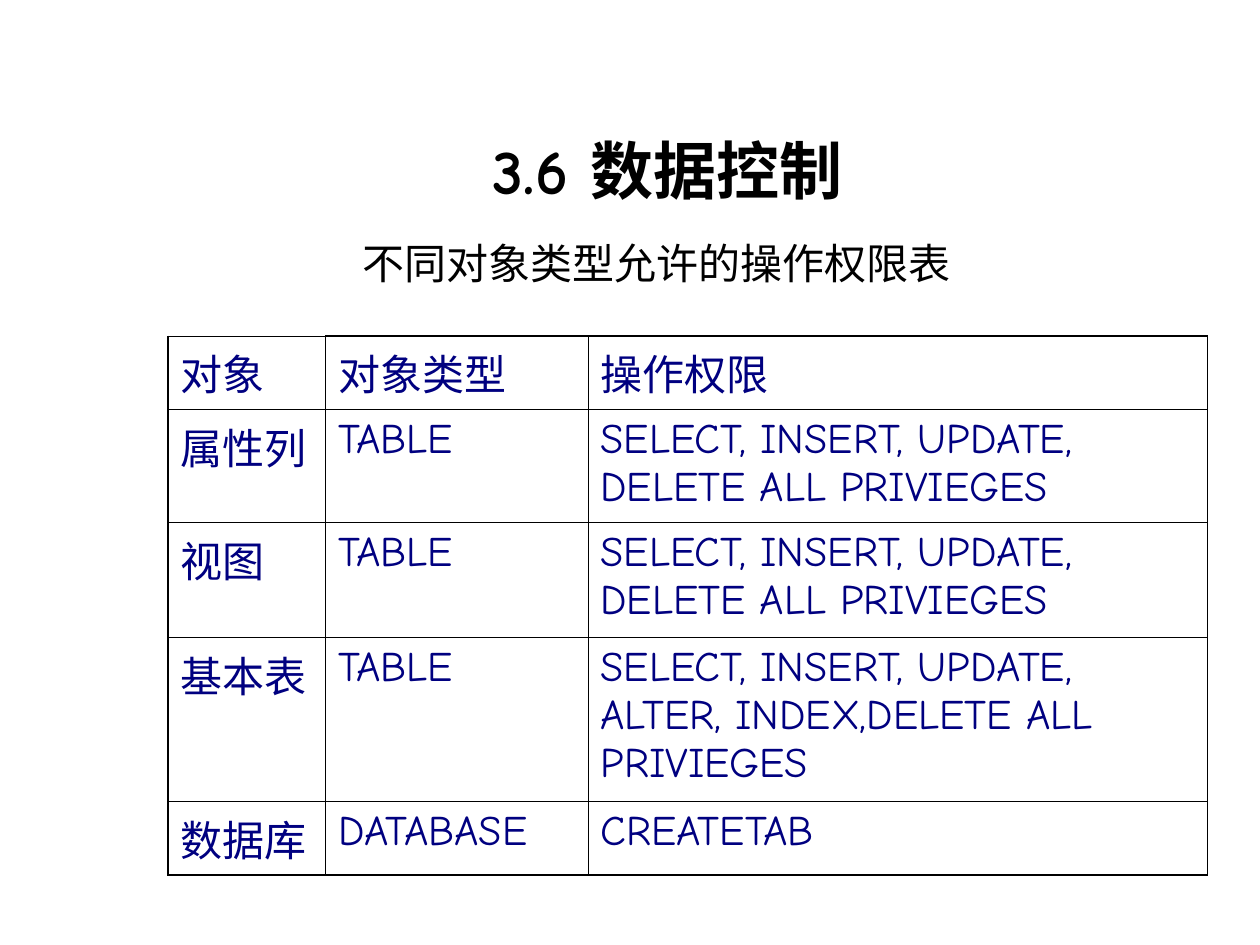
import pptx
import pptx.util
import pptx.dml.color
import pptx.enum.text
import pptx.oxml.ns
import lxml.etree

Inches, Pt = pptx.util.Inches, pptx.util.Pt
RGBColor = pptx.dml.color.RGBColor
PP_ALIGN = pptx.enum.text.PP_ALIGN
MSO_ANCHOR = pptx.enum.text.MSO_ANCHOR
MSO_AUTO_SIZE = pptx.enum.text.MSO_AUTO_SIZE
qn = pptx.oxml.ns.qn

BLACK = RGBColor(0x00, 0x00, 0x00)
NAVY = RGBColor(0x00, 0x00, 0x80)
FONT = "Comic Neue"
THIN, THICK = Pt(0.45), Pt(1.08)

UNIT = 1 / 12
LEFT, WIDTH = 1, 101 * UNIT
COLS = [n * UNIT for n in (15, 25, 59)]
ROWS = [0.58, 0.9, 0.91, 1.3, 0.59]
COMMON = "SELECT, INSERT, UPDATE, DELETE ALL PRIVIEGES"
PERMISSIONS = [
    ["对象", "对象类型", "操作权限"],
    ["属性列", "TABLE", COMMON],
    ["视图", "TABLE", COMMON],
    ["基本表", "TABLE", "SELECT, INSERT, UPDATE, ALTER, INDEX,DELETE ALL PRIVIEGES"],
    ["数据库", "DATABASE", "CREATETAB"],
]


def style(p, size, color, align=PP_ALIGN.LEFT, bold=False):
    p.alignment = align
    p.font.name = FONT
    p.font.size = Pt(size)
    p.font.bold = bold
    p.font.color.rgb = color


def place(sp, box):
    sp.left, sp.top, sp.width, sp.height = [Inches(v) for v in box]


def add_title(s, box):
    sp = s.shapes.title
    place(sp, box)
    tf = sp.text_frame
    tf.auto_size = MSO_AUTO_SIZE.NONE
    tf.vertical_anchor = MSO_ANCHOR.BOTTOM
    tf.margin_bottom = Inches(0.02)
    p = tf.paragraphs[0]
    p.text = " 3.6 数据控制"
    style(p, 36, BLACK, PP_ALIGN.CENTER, True)


def add_subtitle(s, box):
    sp = s.shapes.add_textbox(0, 0, 0, 0)
    place(sp, box)
    tf = sp.text_frame
    tf.word_wrap = True
    p = tf.paragraphs[0]
    p.text = "不同对象类型允许的操作权限表"
    style(p, 24, BLACK, PP_ALIGN.CENTER)


def set_borders(cell, widths):
    tcPr = cell._tc.get_or_add_tcPr()
    for i, (side, width) in enumerate(widths.items()):
        ln = lxml.etree.Element(qn(f"a:ln{side}"), w=str(int(width)))
        fill = lxml.etree.SubElement(ln, qn("a:solidFill"))
        lxml.etree.SubElement(fill, qn("a:srgbClr"), val=str(BLACK))
        tcPr.insert(i, ln)


def add_permissions(s, box):
    n_rows, n_cols = len(ROWS), len(COLS)
    frame = s.shapes.add_table(n_rows, n_cols, *[Inches(v) for v in box])
    table = frame.table
    table.first_row = table.horz_banding = False
    for col, width in zip(table.columns, COLS):
        col.width = Inches(width)
    for r, (row, height) in enumerate(zip(table.rows, ROWS)):
        row.height = Inches(height)
        for c, cell in enumerate(row.cells):
            cell.fill.background()
            p = cell.text_frame.paragraphs[0]
            p.text = PERMISSIONS[r][c]
            style(p, 24, NAVY)
            set_borders(cell, {
                "L": THICK if c == 0 else THIN,
                "R": THICK if c == n_cols - 1 else THIN,
                "T": THICK if r == 0 and c > 0 else THIN,
                "B": THICK if r == n_rows - 1 else THIN,
            })


def main():
    prs = pptx.Presentation()
    prs.slide_width, prs.slide_height = Inches(10), Inches(7.5)
    s = prs.slides.add_slide(prs.slide_layouts[5])
    add_title(s, (LEFT, 5 * UNIT, WIDTH, 15 * UNIT))
    add_subtitle(s, (LEFT, 22 * UNIT, WIDTH, 7 * UNIT))
    add_permissions(s, (16 * UNIT, 32 * UNIT, sum(COLS), sum(ROWS)))
    prs.save("out.pptx")


if __name__ == "__main__":
    main()
